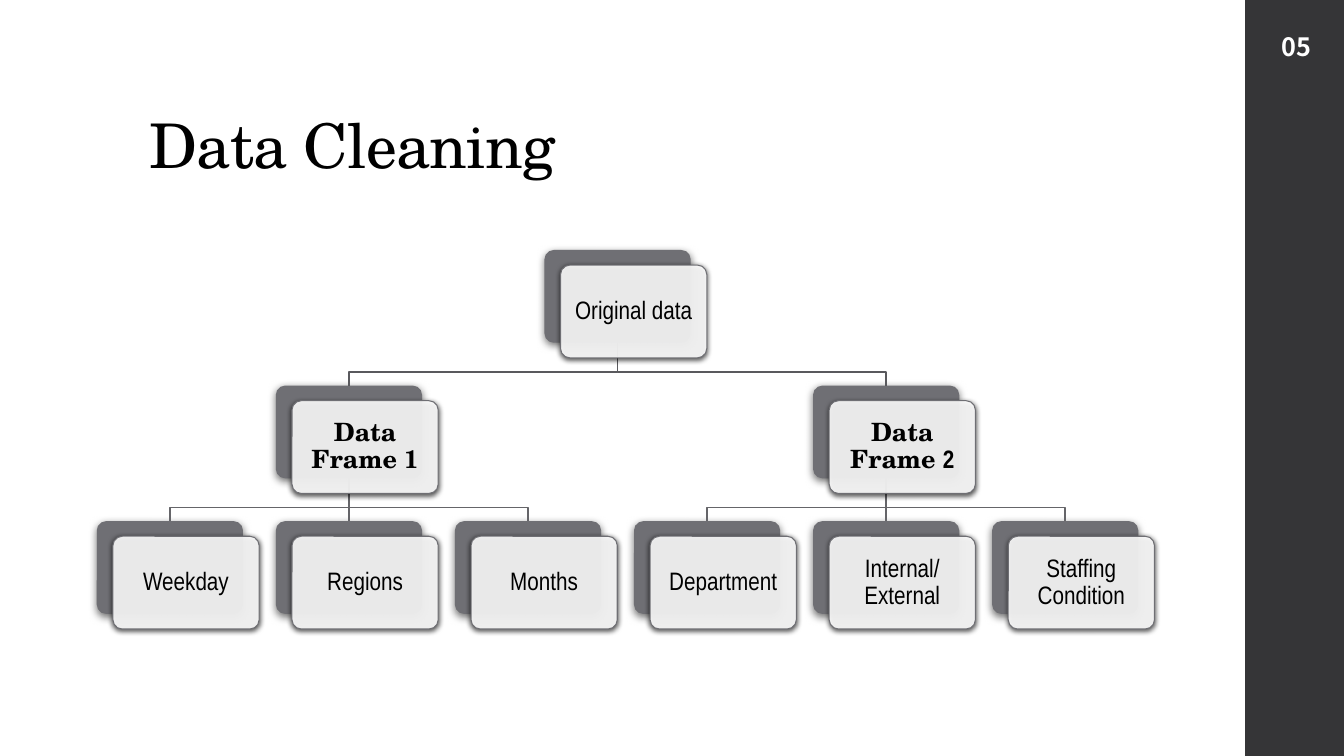
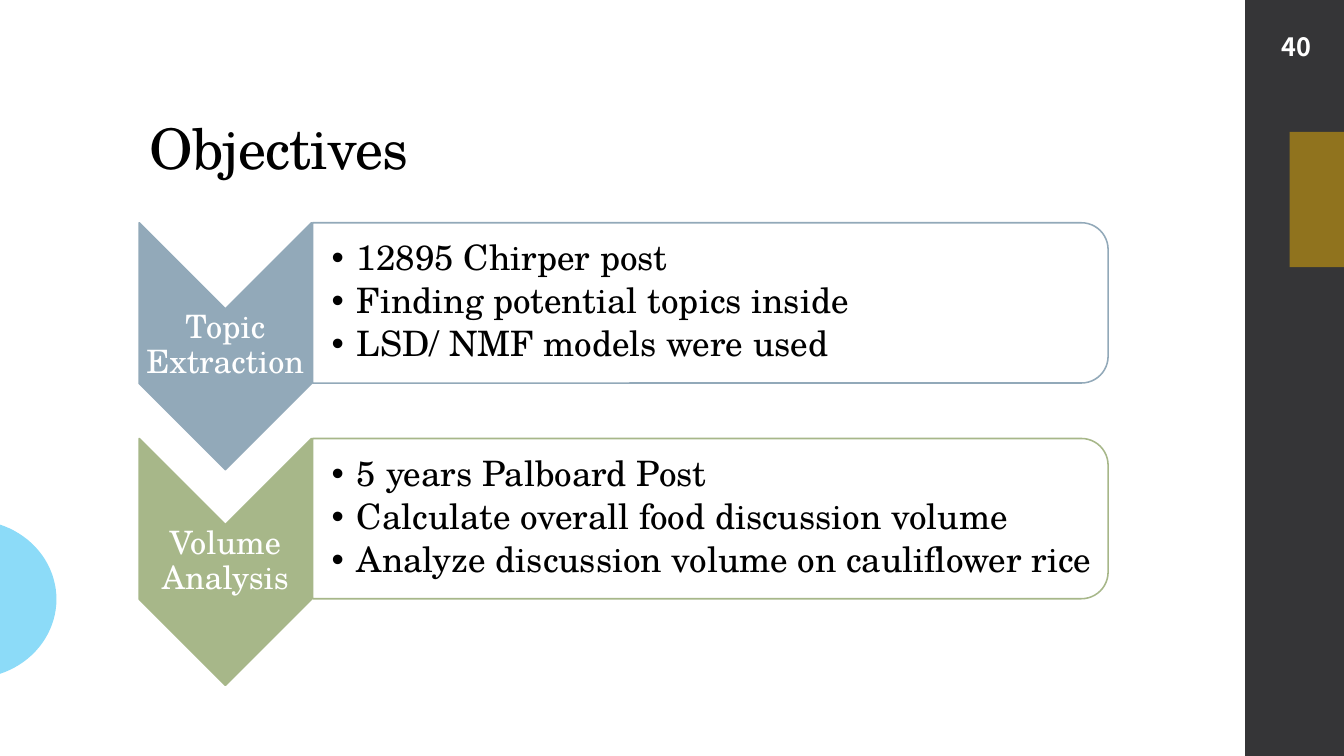
from dataclasses import dataclass

from lxml import etree
from pptx import Presentation
from pptx.dml.color import RGBColor
from pptx.enum.shapes import MSO_CONNECTOR, MSO_SHAPE
from pptx.enum.text import MSO_ANCHOR, MSO_AUTO_SIZE, PP_ALIGN
from pptx.oxml.ns import qn
from pptx.util import Inches, Pt

RECTANGLE = MSO_SHAPE.RECTANGLE
ROUNDED = MSO_SHAPE.ROUNDED_RECTANGLE
TAB = MSO_SHAPE.ROUND_2_SAME_RECTANGLE
CHEVRON = MSO_SHAPE.CHEVRON
OVAL = MSO_SHAPE.OVAL
STRAIGHT = MSO_CONNECTOR.STRAIGHT
MIDDLE, BOTTOM = MSO_ANCHOR.MIDDLE, MSO_ANCHOR.BOTTOM
LEFT, CENTER = PP_ALIGN.LEFT, PP_ALIGN.CENTER
NO_FIT = MSO_AUTO_SIZE.NONE

COLORS = {
    "black": "000000", "white": "FFFFFF", "band": "353537",
    "card": "6F6F74", "upper_branch": "59595D", "lower_branch": "656569",
    "blue": "92A9B9", "green": "A7B789", "sky": "00B0F0", "gold": "FFC000",
}
SERIF, NARROW, NUMBER_FONT = "TeX Gyre Schola", "Arial Narrow", "Noto Sans CJK SC"

# Tree geometry, in inches
CARD_WIDTH, CARD_HEIGHT = 1.45, 0.92
TREE_LEFT, TREE_TOP = 0.96, 2.48
COLUMN_STEP = (9.84 - TREE_LEFT) / 5
LEVEL_STEP = (5.17 - TREE_TOP) / 2
FRONT_RIGHT, FRONT_DOWN = 0.16, 0.15
BUS_DROP = 0.29

# Objective rows, in inches
ROW_TOP, ROW_STEP = 2.21, 2.14
ARROW_LEFT, ARROW_WIDTH, ARROW_HEIGHT = 1.38, 1.71, 2.45
PANEL_LEFT, PANEL_WIDTH, PANEL_HEIGHT = 3.1, 7.89, 1.59


@dataclass(frozen=True)
class Box:
    left: float
    top: float
    width: float
    height: float

    def lengths(self):
        return [Inches(side) for side in
                (self.left, self.top, self.width, self.height)]

    def turned(self) -> "Box":
        """The box that covers this one after a quarter turn."""
        shift = (self.width - self.height) / 2
        return Box(self.left + shift, self.top - shift, self.height, self.width)


@dataclass(frozen=True)
class Card:
    column: float
    level: int
    spans: tuple[tuple[str, str], ...]  # (text, font)
    bold: bool = False
    children: tuple["Card", ...] = ()

    def box(self) -> Box:
        return Box(TREE_LEFT + self.column * COLUMN_STEP,
                   TREE_TOP + self.level * LEVEL_STEP, CARD_WIDTH, CARD_HEIGHT)

    def center(self) -> float:
        return self.box().left + CARD_WIDTH / 2

    def family(self) -> list["Card"]:
        return [self] + [card for child in self.children for card in child.family()]


@dataclass(frozen=True)
class Objective:
    label: str
    color: str
    points: tuple[str, ...]


def leaves(first: int, *names: str) -> tuple[Card, ...]:
    return tuple(Card(first + place, 2, ((name, NARROW),))
                 for place, name in enumerate(names))


TREE = Card(2.5, 0, (("Original data", NARROW),), children=(
    Card(1, 1, (("Data Frame 1", SERIF),), True,
         leaves(0, "Weekday", "Regions", "Months")),
    Card(4, 1, (("Data Frame ", SERIF), ("2", NARROW)), True,
         leaves(3, "Department", "Internal/ External", "Staffing Condition")),
))

OBJECTIVES = (
    Objective("Topic Extraction", "blue", (
        "12895 Chirper post", "Finding potential topics inside",
        "LSD/ NMF models were used")),
    Objective("Volume Analysis", "green", (
        "5 years Palboard Post", "Calculate overall food discussion volume",
        "Analyze discussion volume on cauliflower rice")),
)


def rgb(name: str) -> RGBColor:
    return RGBColor.from_string(COLORS[name])


def style_font(font, name: str, size: float, color: str, bold: bool = False) -> None:
    font.name, font.size, font.bold = name, Pt(size), bold
    font.color.rgb = rgb(color)


def style_frame(frame, anchor, margin: float, left_margin: float | None = None) -> None:
    frame.auto_size = NO_FIT
    frame.word_wrap = True
    frame.vertical_anchor = anchor
    frame.margin_top = frame.margin_right = frame.margin_bottom = Inches(margin)
    frame.margin_left = Inches(margin if left_margin is None else left_margin)


def place(shape, box: Box) -> None:
    shape.left, shape.top, shape.width, shape.height = box.lengths()


def add_alpha(color_element, percent: int) -> None:
    etree.SubElement(color_element, qn("a:alpha"), val=str(percent * 1000))


def style_line(shape, color: str, width: float = 1.1) -> None:
    shape.line.color.rgb = rgb(color)
    shape.line.width = Pt(width)


def add_shape(page, kind, box: Box, fill: str, line: str | None = None,
              line_width: float = 1.1, opacity: int = 100):
    shape = page.shapes.add_shape(kind, *box.lengths())
    shape.shadow.inherit = False
    shape.fill.solid()
    shape.fill.fore_color.rgb = rgb(fill)
    if opacity < 100:
        fill_element = shape.element.spPr.find(qn("a:solidFill"))
        add_alpha(fill_element.find(qn("a:srgbClr")), opacity)
    if line:
        style_line(shape, line, line_width)
    else:
        shape.line.fill.background()
    return shape


def add_shadow(shape, opacity: int, blur: float, distance: float) -> None:
    effects = shape.element.spPr.find(qn("a:effectLst"))
    shadow = etree.SubElement(effects, qn("a:outerShdw"), blurRad=str(Pt(blur)),
                              dist=str(Pt(distance)), dir="5400000", rotWithShape="0")
    add_alpha(etree.SubElement(shadow, qn("a:srgbClr"), val=COLORS["black"]), opacity)


def add_page(deck, layout: int, title: str, title_size: float, number: str):
    page = deck.slides.add_slide(deck.slide_layouts[layout])
    # Side band and page number
    add_shape(page, RECTANGLE, Box(12.35, 0, 0.98, 7.5), "band")
    number_box = page.shapes.add_textbox(*Box(12.61, 0.26, 0.51, 0.4).lengths())
    number_box.text_frame.text = number
    style_font(number_box.text_frame.paragraphs[0].runs[0].font,
               NUMBER_FONT, 18, "white", True)
    # Title
    heading = page.shapes.title
    place(heading, Box(1.38, 0.4, 10.6, 1.45))
    heading.text_frame.text = title
    style_frame(heading.text_frame, BOTTOM, 0.05, 0.1)
    para = heading.text_frame.paragraphs[0]
    para.alignment, para.line_spacing = LEFT, 0.9
    style_font(para.runs[0].font, SERIF, title_size, "black")
    for properties in heading.element.iter(qn("a:rPr")):
        properties.set("spc", "-50")
    return page


def add_branch(page, parent: Card, child: Card, backs: dict) -> None:
    color = "lower_branch" if parent.level else "upper_branch"
    start, end = Inches(parent.center()), Inches(child.center())
    bottom = parent.box().top + CARD_HEIGHT
    top, bus, foot = Inches(bottom), Inches(bottom + BUS_DROP), Inches(child.box().top)
    if parent.column == child.column:
        line = page.shapes.add_connector(STRAIGHT, start, top, end, foot)
        line.begin_connect(backs[parent], 2)
        line.end_connect(backs[child], 0)
        etree.SubElement(line.element.spPr, qn("a:effectLst"))
    else:
        builder = page.shapes.build_freeform(start, top)
        builder.add_line_segments([(start, bus), (end, bus), (end, foot)], close=False)
        line = builder.convert_to_shape()
        line.fill.background()
        line.shadow.inherit = False
    style_line(line, color)


def add_front(page, card: Card) -> None:
    box = card.box()
    front = add_shape(page, ROUNDED, Box(box.left + FRONT_RIGHT, box.top + FRONT_DOWN,
                                         CARD_WIDTH, CARD_HEIGHT),
                      "white", "card", 0.75, 90)
    front.adjustments[0] = 0.1
    add_shadow(front, 75, 4, 1.2)
    style_frame(front.text_frame, MIDDLE, 0.07)
    para = front.text_frame.paragraphs[0]
    para.alignment, para.line_spacing = CENTER, 0.9
    for text, font in card.spans:
        span = para.add_run()
        span.text = text
        style_font(span.font, font, 18, "black", card.bold)


def add_tree(page, root: Card) -> None:
    cards = root.family()
    backs = {}
    for card in cards:
        backs[card] = add_shape(page, ROUNDED, card.box(), "card")
        backs[card].adjustments[0] = 0.1
        add_shadow(backs[card], 55, 6, 2)
    for card in cards:
        for child in card.children:
            add_branch(page, card, child, backs)
    for card in cards:
        add_front(page, card)


def add_objective(page, row: int, objective: Objective) -> None:
    top = ROW_TOP + row * ROW_STEP
    # Chevron and its label
    arrow_box = Box(ARROW_LEFT, top, ARROW_WIDTH, ARROW_HEIGHT)
    arrow = add_shape(page, CHEVRON, arrow_box.turned(), objective.color, objective.color)
    arrow.rotation = 90
    label = page.shapes.add_textbox(
        *Box(ARROW_LEFT, top + ARROW_WIDTH / 2, ARROW_WIDTH, 0.73).lengths())
    label.text_frame.text = objective.label
    style_frame(label.text_frame, MIDDLE, 0.02)
    para = label.text_frame.paragraphs[0]
    para.alignment, para.line_spacing = CENTER, 0.9
    style_font(para.runs[0].font, SERIF, 23, "white")
    # Outlined panel
    panel_box = Box(PANEL_LEFT, top, PANEL_WIDTH, PANEL_HEIGHT)
    panel = add_shape(page, TAB, panel_box.turned(), "white", objective.color, opacity=90)
    panel.rotation = 90
    # List, raised above the panel
    body = page.placeholders[row + 1]
    place(body, Box(PANEL_LEFT, top + 0.07, 7.82, 1.44))
    body.element.getparent().append(body.element)
    body.text_frame.text = "\n".join(objective.points)
    style_frame(body.text_frame, MIDDLE, 0.02, 0.19)
    for para in body.text_frame.paragraphs:
        properties = para._p.get_or_add_pPr()
        properties.set("marL", str(Inches(0.25)))
        properties.set("indent", str(Inches(-0.25)))
        para.line_spacing = 0.9
        para.space_before, para.space_after = Pt(0), Pt(3.75)
        style_font(para.runs[0].font, SERIF, 25, "black")


def main() -> None:
    deck = Presentation()
    deck.slide_width, deck.slide_height = Inches(13.33), Inches(7.5)

    # Data cleaning tree
    add_tree(add_page(deck, 5, "Data Cleaning", 44, "05"), TREE)

    # Objectives
    page = add_page(deck, 3, "Objectives", 40, "40")
    for row, objective in enumerate(OBJECTIVES):
        add_objective(page, row, objective)
    add_shape(page, OVAL, Box(-1.12, 5.16, 1.68, 1.57), "sky", opacity=45)
    add_shape(page, RECTANGLE, Box(12.79, 1.31, 1.92, 1.34), "gold", opacity=45)

    deck.save("out.pptx")


if __name__ == "__main__":
    main()
